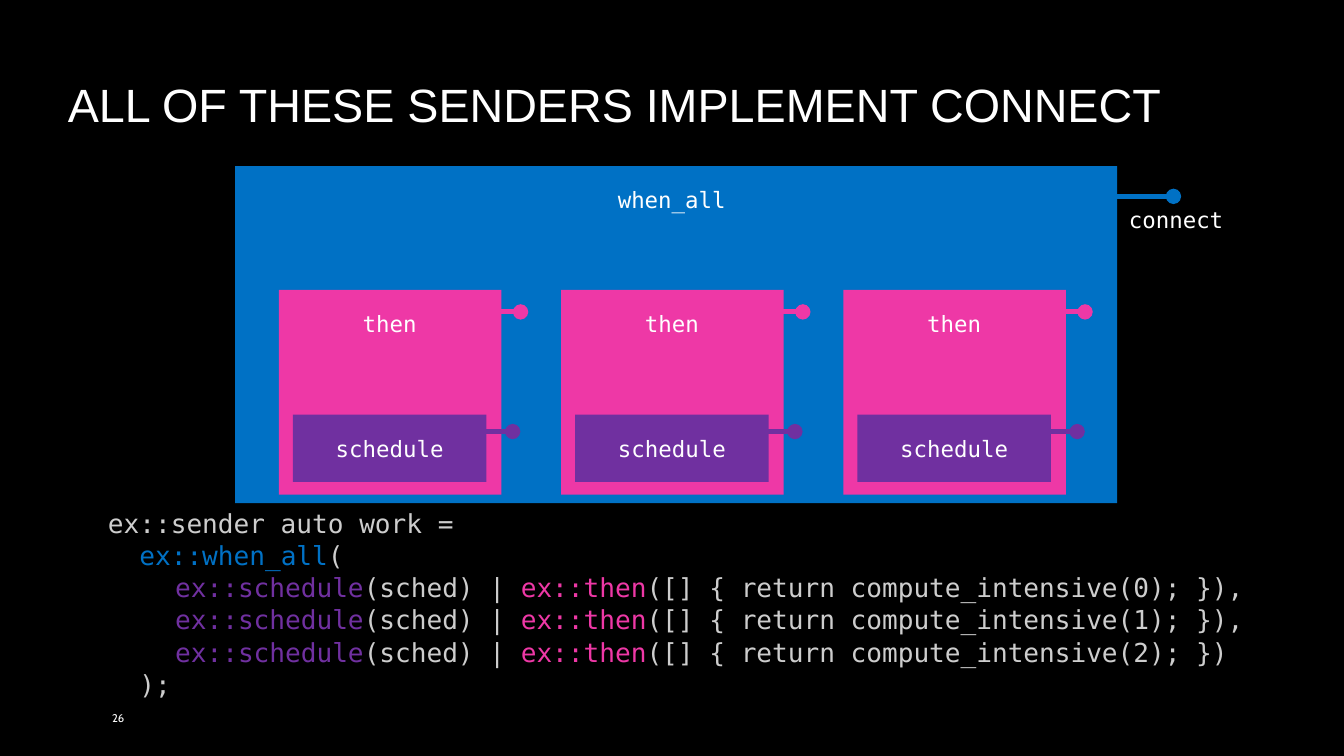
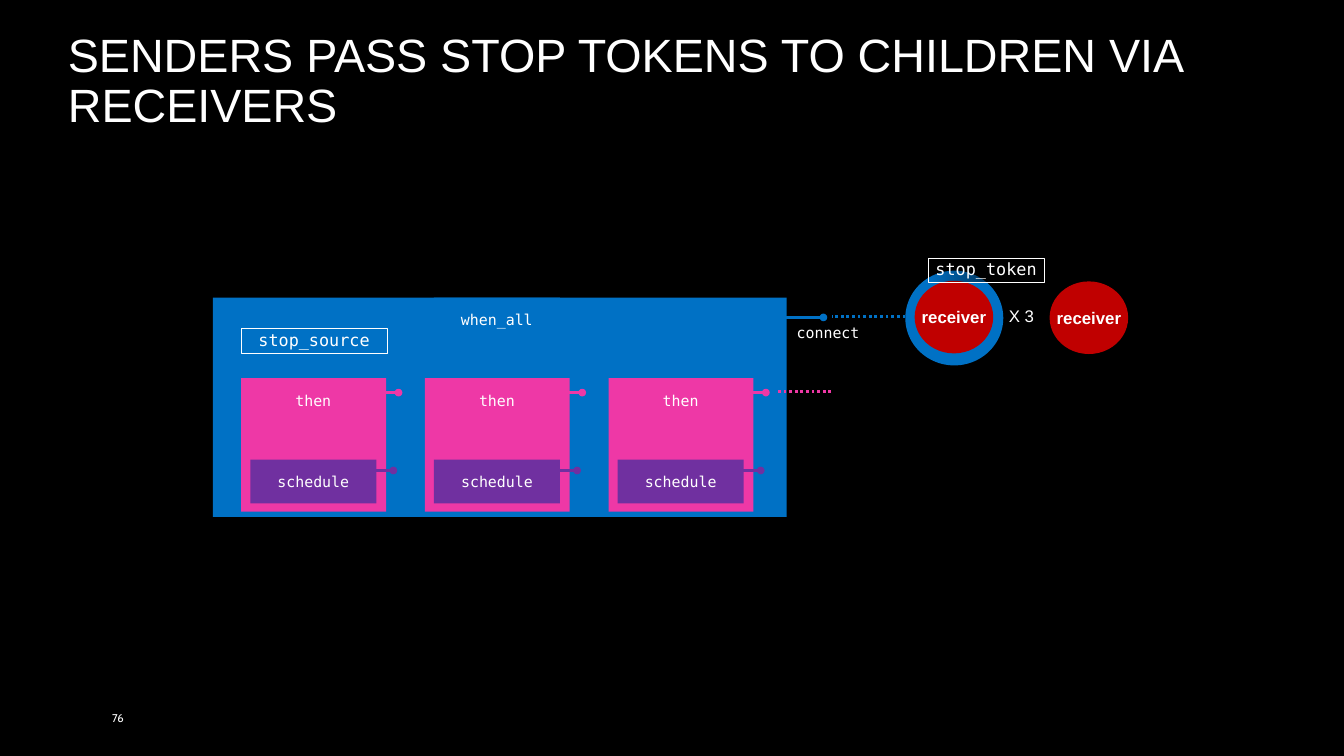
from lxml.etree import SubElement
from pptx import Presentation
from pptx.dml.color import RGBColor
from pptx.enum.dml import MSO_LINE
from pptx.enum.shapes import MSO_CONNECTOR, MSO_SHAPE
from pptx.enum.text import MSO_ANCHOR, MSO_AUTO_SIZE, PP_ALIGN
from pptx.oxml.ns import qn
from pptx.util import Pt

BLACK = RGBColor(0x00, 0x00, 0x00)
WHITE = RGBColor(0xFF, 0xFF, 0xFF)
GRAY = RGBColor(0xCD, 0xCD, 0xCD)
BLUE = RGBColor(0x00, 0x71, 0xC5)
PINK = RGBColor(0xEE, 0x38, 0xA6)
PURPLE = RGBColor(0x70, 0x30, 0xA0)
RED = RGBColor(0xC0, 0x00, 0x00)
SANS, MONO, FOOT = "Arial", "DejaVu Sans Mono", "Cabin"
LEFT, MID = PP_ALIGN.LEFT, PP_ALIGN.CENTER
RECT, OVAL = MSO_SHAPE.RECTANGLE, MSO_SHAPE.OVAL


def write(shape, lines, size=18, font=MONO, color=WHITE, bold=False,
          align=MID, anchor=MSO_ANCHOR.MIDDLE, space=None, wrap=True, tab=None):
    """Fill a shape with lines; a line is a string or a list of (text, color)."""
    frame = shape.text_frame
    frame.auto_size = MSO_AUTO_SIZE.NONE
    frame.word_wrap = wrap
    frame.vertical_anchor = anchor
    for i, line in enumerate([lines] if isinstance(lines, str) else lines):
        para = frame.paragraphs[0] if i == 0 else frame.add_paragraph()
        para.alignment = align
        if space:
            para.line_spacing = space
        if tab:
            stops = SubElement(para._p.get_or_add_pPr(), qn("a:tabLst"))
            SubElement(stops, qn("a:tab"), pos=str(Pt(tab)), algn="l")
        for text, tint in [(line, color)] if isinstance(line, str) else line:
            run = para.add_run()
            run.text = text
            run.font.size, run.font.name = Pt(size), font
            run.font.bold, run.font.color.rgb = bold, tint


def place(shape, x, y, w, h):
    shape.left, shape.top, shape.width, shape.height = map(Pt, (x, y, w, h))


def block(shapes, x, y, w, h, fill=None, edge=None, kind=RECT):
    shape = shapes.add_shape(kind, Pt(x), Pt(y), Pt(w), Pt(h))
    shape.shadow.inherit = False
    if fill is None:
        shape.fill.background()
    else:
        shape.fill.solid()
        shape.fill.fore_color.rgb = fill
    if edge is None:
        shape.line.fill.background()
    else:
        shape.line.color.rgb = edge
        shape.line.width = Pt(0.5)
    return shape


def label(shapes, text, x, y, w, h, **style):
    write(shapes.add_textbox(Pt(x), Pt(y), Pt(w), Pt(h)), text, **style)


def wire(shapes, x1, x2, y, color, weight, dots=False):
    """Level line: dotted, or solid with a round end."""
    line = shapes.add_connector(MSO_CONNECTOR.STRAIGHT, Pt(x1), Pt(y), Pt(x2), Pt(y))
    line.line.color.rgb = color
    line.line.width = Pt(weight)
    if dots:
        line.line.dash_style = MSO_LINE.ROUND_DOT
    else:
        SubElement(line.line._ln, qn("a:tailEnd"), type="oval")
    SubElement(line._element.spPr, qn("a:effectLst"))


def start(prs, title, number):
    """New slide with its title and page number."""
    slide = prs.slides.add_slide(prs.slide_layouts[5])
    head = slide.shapes.title
    place(head, 65.5, 68.4, 1309, 77.8)
    write(head, title, size=50, font=SANS, align=LEFT,
          anchor=MSO_ANCHOR.BOTTOM, space=0.9)
    label(slide.shapes, number, 113, 747.4, 324, 43.2, size=12, font=FOOT, align=LEFT)
    return slide


def tree(slide, x, y, w, size, weight):
    """Nested senders, drawn on a grid 945 wide and 361 high."""
    shapes = slide.shapes.add_group_shape().shapes
    k = w / 945
    cols = [46.8 + 302.4 * i for i in range(3)]

    def part(left, top, wide, high, color, text=""):
        box = block(shapes, x + left * k, y + top * k, wide * k, high * k, color)
        if text:
            write(box, text, size=size)

    def port(left, top, color):
        wire(shapes, x + left * k, x + (left + 76.5) * k, y + top * k, color, weight)

    part(0, 0, 945, 361, BLUE)
    for col in cols:
        part(col, 132.5, 238.5, 219.6, PINK)
    part(364, 0, 207.4, 72, BLUE, "when_all")
    for col in cols:
        part(col + 15, 133, 207.4, 72, PINK, "then")
        part(col + 15, 266.4, 207.4, 72, PURPLE, "schedule")
        port(col + 182.5, 156.2, PINK)
        port(col + 174, 284.4, PURPLE)
    port(928.8, 32.4, BLUE)
    label(shapes, "connect", x + 950.4 * k, y + 41.8 * k, 4.3 * size + 14.4,
          1.4 * size, size=size, align=LEFT, space=0.9)


def code(slide, x, y, w, h):
    def call(num, end):
        return [("\t  ", GRAY), ("ex::schedule", PURPLE), ("(sched) | ", GRAY),
                ("ex::then", PINK),
                ("([] { return compute_intensive(%d); })%s" % (num, end), GRAY)]

    box = slide.shapes.add_textbox(Pt(x), Pt(y), Pt(w), Pt(h))
    box.text_frame.margin_left = Pt(14.4)
    lines = ["  ex::sender auto work =",
             [("    ", GRAY), ("ex::when_all", BLUE), ("(", GRAY)],
             call(0, ","), call(1, ","), call(2, ""), "    );"]
    write(box, lines, size=28, color=GRAY, align=LEFT,
          anchor=MSO_ANCHOR.TOP, space=1.03, tab=72)


def disc(shapes, x, y):
    write(block(shapes, x, y, 84.2, 77.8, RED, kind=OVAL), "receiver",
          font=SANS, bold=True, wrap=False)


def badge(slide, x, y):
    """Receiver in a ring, with a token tag fading in from the left."""
    shapes = slide.shapes.add_group_shape().shapes
    block(shapes, x, y, 105, 101.5, BLUE, kind=OVAL)
    disc(shapes, x + 10, y + 10.8)
    tag = block(shapes, x + 24.5, y - 13.7, 124, 26.6, edge=WHITE)
    tag.fill.gradient()
    tag.fill.gradient_angle = 0
    for stop in tag.fill.gradient_stops:
        stop.color.rgb = BLACK
    clear = next(tag.fill._xPr.iter(qn("a:srgbClr")))
    SubElement(clear, qn("a:alpha"), val="0")
    write(tag, "stop_token", space=0.9)


def links(slide, x, y):
    """Dotted wires, the receivers and the stop source beside the tree."""
    shapes = slide.shapes
    label(shapes, "X 3", x + 814, y + 7, 105, 26.6, font=SANS, space=0.9)
    wire(shapes, x + 742, x + 663, y + 20, BLUE, 3, dots=True)
    source = block(shapes, x + 30.5, y + 33, 156, 26.6, edge=WHITE)
    write(source, "stop_source", space=0.9)
    badge(slide, x + 742, y - 29)
    disc(shapes, x + 896.6, y - 17.5)
    wire(shapes, x + 662.6, x + 603.6, y + 100.7, PINK, 3, dots=True)


def main():
    prs = Presentation()
    prs.slide_width, prs.slide_height = Pt(1440), Pt(810)
    back = prs.slide_master.background.fill
    back.solid()
    back.fore_color.rgb = BLACK

    # Senders and the code that makes them
    slide = start(prs, "ALL OF THESE SENDERS IMPLEMENT CONNECT", "26")
    code(slide, 67.7, 538.6, 1307, 237.6)
    tree(slide, 252, 178, 945, 24, 5.5)

    # Stop tokens handed to the children
    slide = start(prs, "SENDERS PASS STOP TOKENS TO CHILDREN VIA RECEIVERS", "76")
    tree(slide, 228, 319, 615, 16, 2.75)
    links(slide, 228, 319)

    prs.save("out.pptx")


if __name__ == "__main__":
    main()
